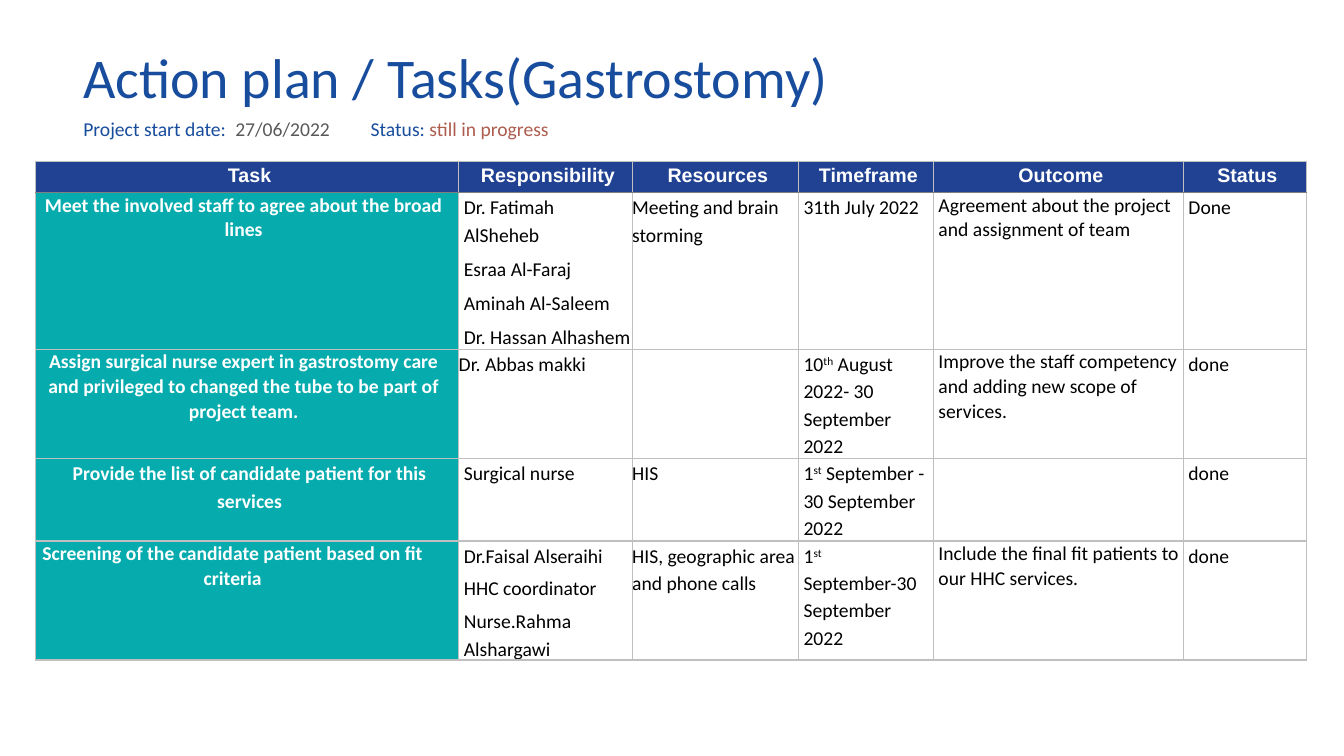
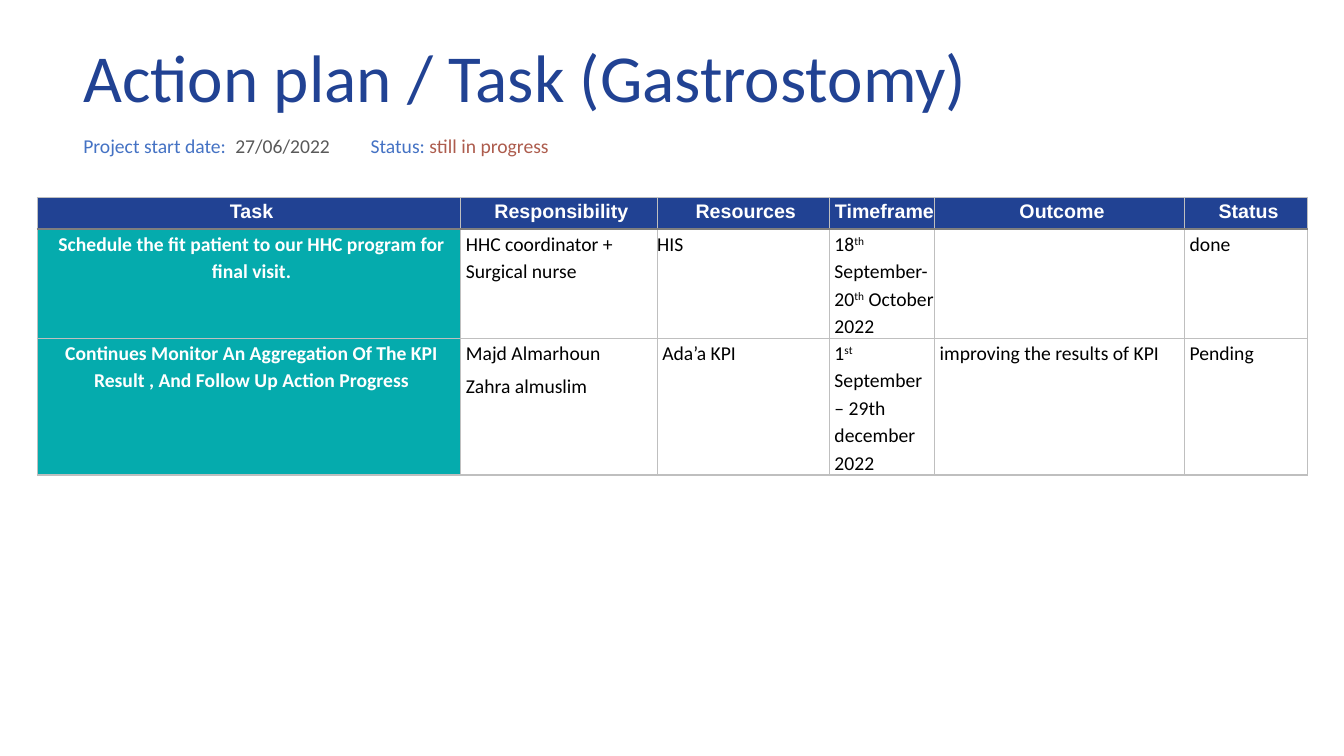
from dataclasses import dataclass

from lxml import etree
from pptx import Presentation
from pptx.dml.color import RGBColor
from pptx.enum.text import MSO_ANCHOR, PP_ALIGN
from pptx.oxml.ns import qn
from pptx.util import Cm, Pt

MIDDLE = MSO_ANCHOR.MIDDLE
LEFT = PP_ALIGN.LEFT
CENTER = PP_ALIGN.CENTER

BLUE = RGBColor(0x18, 0x4D, 0x9D)
NAVY = RGBColor(0x21, 0x42, 0x93)
SKY = RGBColor(0x44, 0x72, 0xC4)
TEAL = RGBColor(0x05, 0xAB, 0xAD)
RUST = RGBColor(0xAD, 0x5C, 0x4D)
GRAY = RGBColor(0x59, 0x59, 0x59)
RULE = RGBColor(0xBF, 0xBF, 0xBF)
HEADER_RULE = RGBColor(0x7F, 0x7F, 0x7F)
WHITE = RGBColor(0xFF, 0xFF, 0xFF)
BLACK = RGBColor(0x00, 0x00, 0x00)

BODY_FONT = "Calibri"
HEADER_FONT = "Arial"
TEXT_LEFT = 1.85
DATE_TAB = 3.83
STATUS_TAB = 7.24
INDENT = 0.13
LOOSE = 1.15
TIGHT = 1.04
HEADERS = ("Task", "Responsibility", "Resources", "Timeframe", "Outcome", "Status")


@dataclass(frozen=True)
class Entry:
    text: str = ""
    indent: float = INDENT
    right: float = 0
    line: float = LOOSE
    gap: float = 4.7


@dataclass(frozen=True)
class Plan:
    title: str
    title_size: int
    title_color: RGBColor
    label_color: RGBColor
    dates_top: float
    table_left: float
    table_top: float
    widths: tuple[float, ...]
    heights: tuple[float, ...]
    rows: tuple[tuple[Entry, ...], ...]


PLANS = (
    Plan(
        "Action plan / Tasks(Gastrostomy)", 40, BLUE, BLUE, 2.72, 0.89, 4.06,
        (10.67, 4.37, 4.19, 3.4, 6.3, 3.1),
        (0.79, 3.95, 2.75, 2.08, 3),
        (
            (
                Entry("Meet the involved staff to agree about the broad lines",
                      right=0.3, line=TIGHT),
                Entry("Dr. Fatimah AlSheheb\nEsraa Al-Faraj\nAminah Al-Saleem\n"
                      "Dr. Hassan Alhashem"),
                Entry("Meeting and brain storming", indent=0),
                Entry("31th July 2022"),
                Entry("Agreement about the project and assignment of team", line=TIGHT),
                Entry("Done"),
            ),
            (
                Entry("Assign surgical nurse expert in gastrostomy care and privileged "
                      "to changed the tube to be part of project team.",
                      right=0.3, line=TIGHT),
                Entry("Dr. Abbas makki", indent=0),
                Entry(),
                Entry("10^th^ August 2022- 30 September 2022"),
                Entry("Improve the staff competency and adding new scope of services.",
                      line=TIGHT),
                Entry("done"),
            ),
            (
                Entry("Provide the list of candidate patient for this services"),
                Entry("Surgical nurse"),
                Entry("HIS", indent=0),
                Entry("1^st^ September - 30 September 2022"),
                Entry(),
                Entry("done"),
            ),
            (
                Entry("Screening of the candidate patient based on fit criteria",
                      right=0.85, line=TIGHT),
                Entry("Dr.Faisal Alseraihi\nHHC coordinator\nNurse.Rahma Alshargawi",
                      gap=3.8),
                Entry("HIS, geographic area and phone calls", indent=0),
                Entry("1^st^ September-30 September 2022"),
                Entry("Include the final fit patients to our HHC services.", line=TIGHT),
                Entry("done"),
            ),
        ),
    ),
    Plan(
        "Action plan / Task (Gastrostomy)", 48, NAVY, SKY, 3.15, 0.94, 4.98,
        (10.67, 4.95, 4.34, 2.65, 6.3, 3.1),
        (0.79, 2.75, 3.45),
        (
            (
                Entry("Schedule the fit patient to our HHC program for final visit."),
                Entry("HHC coordinator + Surgical nurse"),
                Entry("HIS", indent=0),
                Entry("18^th^ September-20^th^ October 2022"),
                Entry(),
                Entry("done"),
            ),
            (
                Entry("Continues Monitor An Aggregation Of The KPI Result , "
                      "And Follow Up Action Progress"),
                Entry("Majd Almarhoun\nZahra almuslim", gap=3.8),
                Entry("Ada’a KPI"),
                Entry("1^st^ September – 29th december 2022"),
                Entry("improving the results of KPI"),
                Entry("Pending"),
            ),
        ),
    ),
)


def add_span(para, text: str, *, size: float = 14, color: RGBColor = BLACK,
             bold: bool = False, font: str = BODY_FONT, raised: bool = False) -> None:
    span = para.add_run()
    span.text = text
    span.font.size = Pt(size)
    span.font.name = font
    span.font.bold = bold
    span.font.color.rgb = color
    if raised:
        span.font._element.set("baseline", "30000")


def add_box(page, top: float, width: float, height: float):
    box = page.shapes.add_textbox(Cm(TEXT_LEFT), Cm(top), Cm(width), Cm(height))
    box.text_frame.word_wrap = True
    box.text_frame.vertical_anchor = MIDDLE
    return box.text_frame.paragraphs[0]


def add_heading(page, plan: Plan) -> None:
    para = add_box(page, 0.58, 24.5, 2.9)
    para.line_spacing = 0.9
    add_span(para, plan.title, size=plan.title_size, color=plan.title_color)

    para = add_box(page, plan.dates_top, 16.45, 1.02)
    stops = etree.SubElement(para._p.get_or_add_pPr(), qn("a:tabLst"))
    for position in (DATE_TAB, STATUS_TAB):
        etree.SubElement(stops, qn("a:tab"), pos=str(Cm(position)), algn="l")
    for text, color in (
        ("Project start date:\t", plan.label_color),
        ("27/06/2022\t", GRAY),
        ("Status: ", plan.label_color),
        ("still in progress", RUST),
    ):
        add_span(para, text, color=color)


def set_borders(cell, top: RGBColor, bottom: RGBColor) -> None:
    properties = cell._tc.get_or_add_tcPr()
    for side, color in (("L", RULE), ("R", RULE), ("T", top), ("B", bottom)):
        line = etree.SubElement(properties, qn(f"a:ln{side}"), w=str(Pt(1)))
        fill = etree.SubElement(line, qn("a:solidFill"))
        etree.SubElement(fill, qn("a:srgbClr"), val=str(color))


def fill_cell(cell, entry: Entry, *, fill: RGBColor, color: RGBColor,
              bold: bool, font: str, align) -> None:
    cell.margin_left = cell.margin_right = cell.margin_top = cell.margin_bottom = 0
    cell.fill.solid()
    cell.fill.fore_color.rgb = fill
    for index, text in enumerate(entry.text.split("\n")):
        frame = cell.text_frame
        para = frame.add_paragraph() if index else frame.paragraphs[0]
        para.alignment = align
        para.line_spacing = entry.line
        if index:
            para.space_before = Pt(entry.gap)
        properties = para._p.get_or_add_pPr()
        properties.set("marL", str(Cm(entry.indent)))
        properties.set("marR", str(Cm(entry.right)))
        for part, words in enumerate(text.split("^")):
            if words:
                add_span(para, words, color=color, bold=bold, font=font,
                         raised=part % 2 == 1)


def add_plan_table(page, plan: Plan) -> None:
    rows = (tuple(Entry(header) for header in HEADERS),) + plan.rows
    frame = page.shapes.add_table(
        len(rows), len(HEADERS), Cm(plan.table_left), Cm(plan.table_top),
        Cm(sum(plan.widths)), Cm(sum(plan.heights)))
    table = frame.table
    table.first_row = table.horz_banding = False
    for column, width in zip(table.columns, plan.widths):
        column.width = Cm(width)
    for row, height in zip(table.rows, plan.heights):
        row.height = Cm(height)
    for row_index, entries in enumerate(rows):
        header = row_index == 0
        for column_index, entry in enumerate(entries):
            task = column_index == 0
            strong = header or task
            cell = table.cell(row_index, column_index)
            set_borders(cell, HEADER_RULE if row_index == 1 else RULE,
                        HEADER_RULE if header else RULE)
            fill_cell(cell, entry,
                      fill=NAVY if header else TEAL if task else WHITE,
                      color=WHITE if strong else BLACK,
                      bold=strong,
                      font=HEADER_FONT if header else BODY_FONT,
                      align=CENTER if strong else LEFT)


def main() -> None:
    deck = Presentation()
    deck.slide_width = Cm(33.87)
    deck.slide_height = Cm(19.05)
    for plan in PLANS:
        page = deck.slides.add_slide(deck.slide_layouts[6])
        add_heading(page, plan)
        add_plan_table(page, plan)
    deck.save("out.pptx")


if __name__ == "__main__":
    main()
